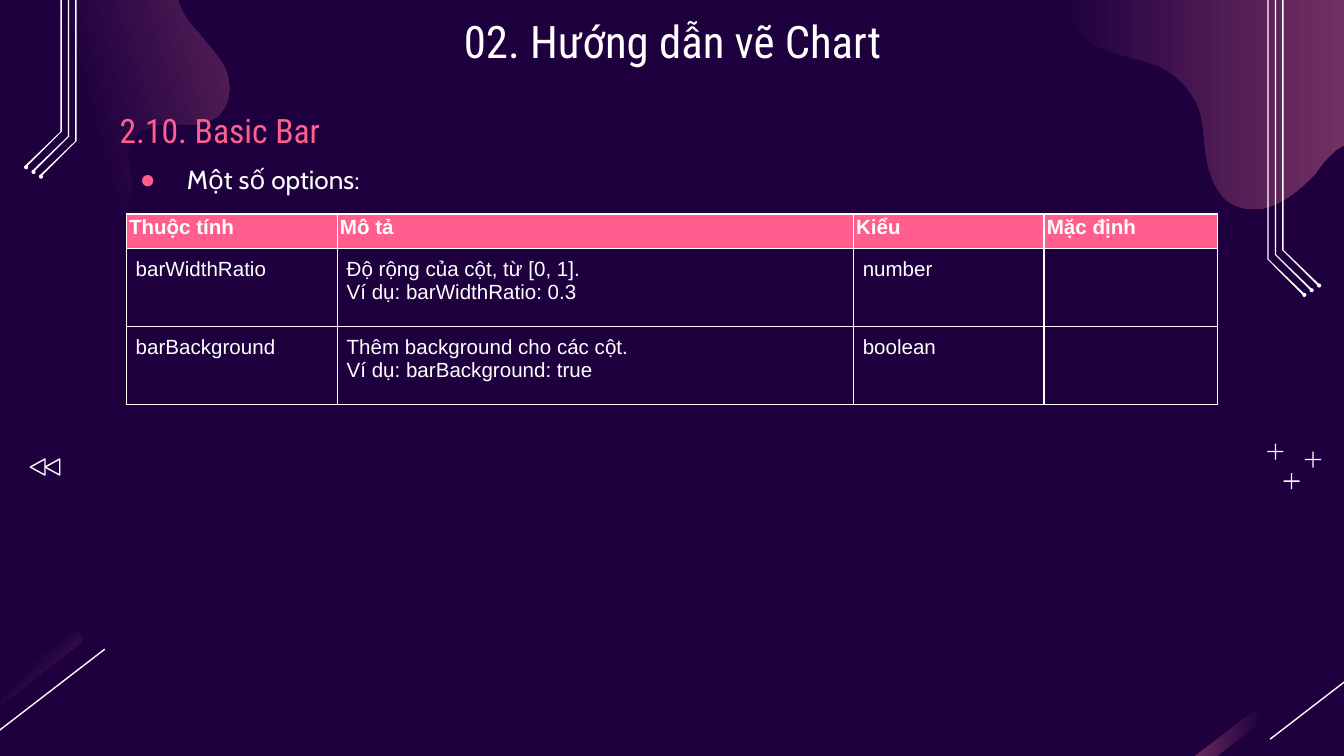
from math import cos, radians, sin

from lxml import etree
from pptx import Presentation
from pptx.dml.color import RGBColor
from pptx.enum.shapes import MSO_CONNECTOR, MSO_SHAPE
from pptx.enum.text import MSO_ANCHOR, MSO_AUTO_SIZE, PP_ALIGN
from pptx.oxml import parse_xml
from pptx.oxml.ns import nsdecls, qn
from pptx.util import Inches, Pt

OVAL, RECT, TRI = MSO_SHAPE.OVAL, MSO_SHAPE.RECTANGLE, MSO_SHAPE.ISOSCELES_TRIANGLE
STRAIGHT = MSO_CONNECTOR.STRAIGHT
TOP, BOTTOM = MSO_ANCHOR.TOP, MSO_ANCHOR.BOTTOM
LEFT, CENTER = PP_ALIGN.LEFT, PP_ALIGN.CENTER
FIXED = MSO_AUTO_SIZE.NONE

HEX = {"night": "1E003F", "plum": "A64D79", "pink": "FF5E8E", "white": "FFFFFF"}
HEAD, BODY, GRID = "Roboto Condensed", "Cabin", "Arial"

# Blob outlines: a start point, then three points for each curve
LEFT_BLOB = [
    (0.48, 1.9), (0.74, 1.83), (0.86, 1.69), (0.9, 1.65), (0.98, 1.56), (1.01, 1.43), (0.99, 1.31),
    (0.98, 1.24), (0.95, 1.17), (0.97, 1.11), (0.98, 1.02), (1.06, 0.97), (1.14, 0.95),
    (1.15, 0.94), (1.15, 0.94), (1.16, 0.94), (1.24, 0.92), (1.33, 0.93), (1.42, 0.93),
    (1.46, 0.93), (1.5, 0.92), (1.53, 0.91), (1.58, 0.9), (1.63, 0.88), (1.66, 0.84),
    (1.74, 0.75), (1.73, 0.61), (1.69, 0.51), (1.64, 0.41), (1.55, 0.32), (1.48, 0.23),
    (1.4, 0.15), (1.33, 0.04), (1.33, -0.07), (1.33, -0.16), (1.36, -0.25), (1.43, -0.31),
    (1.47, -0.35), (1.53, -0.38), (1.59, -0.39), (1.68, -0.42), (1.79, -0.42), (1.9, -0.41),
    (2.01, -0.41), (2.12, -0.4), (2.23, -0.42), (2.25, -0.43), (2.26, -0.43), (2.28, -0.43),
    (2.37, -0.46), (2.46, -0.51), (2.52, -0.58), (2.59, -0.66), (2.61, -0.78), (2.58, -0.87),
    (2.56, -1.05), (2.44, -1.25), (2.33, -1.34), (2.15, -1.5), (1.9, -1.55), (1.67, -1.51),
    (1.66, -1.5), (1.65, -1.5), (1.64, -1.5), (1.29, -1.4), (1.03, -1.1), (0.7, -0.95),
    (0.65, -0.93), (0.59, -0.91), (0.54, -0.9), (0.22, -0.81), (-0.13, -0.85), (-0.47, -0.82),
    (-0.62, -0.81), (-0.77, -0.78), (-0.91, -0.74), (-1.04, -0.71), (-1.16, -0.67), (-1.28, -0.61),
    (-1.45, -0.54), (-1.62, -0.44), (-1.74, -0.3), (-1.86, -0.17), (-1.95, 0.02), (-1.94, 0.22),
    (-1.93, 0.46), (-1.76, 0.68), (-1.56, 0.8), (-1.35, 0.93), (-1.12, 0.97), (-0.88, 0.99),
    (-0.74, 1.01), (-0.6, 1.01), (-0.46, 1.06), (-0.32, 1.1), (-0.19, 1.19), (-0.13, 1.33),
    (-0.08, 1.44), (-0.08, 1.55), (-0.03, 1.66), (0.06, 1.84), (0.29, 1.95), (0.47, 1.9)]
RIGHT_BLOB = [
    (11.25, 0.38), (11.25, 0.13), (11.18, -0.13), (11.05, -0.35),
    (10.94, -0.54), (10.78, -0.7), (10.58, -0.77), (10.36, -0.85), (10.12, -0.81), (9.89, -0.84),
    (9.67, -0.87), (9.45, -0.97), (9.29, -1.13), (9.18, -1.23), (9.09, -1.35), (8.97, -1.41),
    (8.83, -1.48), (8.67, -1.46), (8.52, -1.43), (8.4, -1.4), (8.28, -1.36), (8.19, -1.29),
    (8.03, -1.17), (7.96, -0.97), (7.93, -0.78), (7.9, -0.65), (7.89, -0.51), (7.89, -0.38),
    (7.89, -0.31), (7.89, -0.24), (7.9, -0.18), (7.91, 0), (7.96, 0.18), (8.09, 0.3),
    (8.25, 0.42), (8.47, 0.42), (8.64, 0.5), (8.78, 0.57), (8.88, 0.69), (8.93, 0.83),
    (8.96, 0.94), (8.96, 1.07), (8.98, 1.19), (9, 1.3), (9.05, 1.43), (9.14, 1.5),
    (9.24, 1.57), (9.38, 1.57), (9.49, 1.52), (9.6, 1.47), (9.69, 1.39), (9.78, 1.3),
    (9.83, 1.23), (9.88, 1.16), (9.95, 1.11), (10.02, 1.06), (10.1, 1.03), (10.18, 1.06),
    (10.33, 1.1), (10.38, 1.3), (10.52, 1.38), (10.85, 1.57), (11.08, 1.12), (11.17, 0.88),
    (11.22, 0.72), (11.25, 0.55), (11.25, 0.38)]
STREAK = [(0.56, 4.7), (0.6, 4.72), (0.61, 4.76), (0.59, 4.79), (-0.81, 5.88), (-0.85, 5.89),
          (-0.88, 5.87), (-0.89, 5.83), (-0.87, 5.8), (0.53, 4.72)]

ROWS = [
    ["Thuộc tính", "Mô tả", "Kiểu", "Mặc định"],
    ["barWidthRatio", "Độ rộng của cột, từ [0, 1].\nVí dụ: barWidthRatio: 0.3", "number", ""],
    ["barBackground", "Thêm background cho các cột.\nVí dụ: barBackground: true", "boolean", ""]]


def rgb(name):
    return RGBColor.from_string(HEX[name])


def curve(pts, steps=8):
    """Turn a chain of cubic curves into points."""
    out = [pts[0]]
    for i in range(0, len(pts) - 1, 3):
        quad = pts[i:i + 4]
        for n in range(1, steps + 1):
            t = n / steps
            u = 1 - t
            mix = (u ** 3, 3 * u * u * t, 3 * u * t * t, t ** 3)
            out.append(tuple(sum(m * p[k] for m, p in zip(mix, quad)) for k in (0, 1)))
    return out


def turn(pts, mid, deg):
    """Rotate points around a middle."""
    c, s = cos(radians(deg)), sin(radians(deg))
    return [(mid[0] + (x - mid[0]) * c - (y - mid[1]) * s,
             mid[1] + (x - mid[0]) * s + (y - mid[1]) * c) for x, y in pts]


class Deck:
    def __init__(self, wide, high):
        self.prs = Presentation()
        self.prs.slide_width, self.prs.slide_height = Inches(wide), Inches(high)
        self.slide = self.prs.slides.add_slide(self.prs.slide_layouts[3])
        self.shapes = self.slide.shapes
        fill = self.slide.background.fill
        fill.solid()
        fill.fore_color.rgb = rgb("night")

    def paint(self, shape, fill=None, line=None):
        shape.shadow.inherit = False
        if fill:
            shape.fill.solid()
            shape.fill.fore_color.rgb = rgb(fill)
        else:
            shape.fill.background()
        if line:
            shape.line.color.rgb = rgb(line)
            shape.line.width = Pt(0.75)
        else:
            shape.line.fill.background()
        return shape

    def box(self, kind, x, y, w, h, **look):
        return self.paint(self.shapes.add_shape(kind, *map(Inches, (x, y, w, h))), **look)

    def outline(self, pts, fill=None):
        pts = [(Inches(x), Inches(y)) for x, y in pts]
        form = self.shapes.build_freeform(*pts[0], scale=1.0)
        form.add_line_segments(pts[1:], close=True)
        return self.paint(form.convert_to_shape(), fill)

    def glow(self, pts, mid, deg, stops, way):
        """Rotated outline with a gradient that turns along."""
        shape = self.outline(turn(pts, mid, -deg))
        shape.rotation = deg
        marks = "".join(f'<a:gs pos="{pos * 1000}"><a:srgbClr val="{HEX[name]}"/></a:gs>'
                        for pos, name in stops)
        old = shape.element.spPr.find(qn("a:noFill"))
        old.getparent().replace(old, parse_xml(
            f'<a:gradFill {nsdecls("a")} rotWithShape="1"><a:gsLst>{marks}</a:gsLst>{way}</a:gradFill>'))

    def line(self, x1, y1, x2, y2):
        link = self.shapes.add_connector(STRAIGHT, *map(Inches, (x1, y1, x2, y2)))
        link.line.color.rgb = rgb("white")
        link.line.width = Pt(0.75)
        etree.SubElement(link.element.spPr, qn("a:effectLst"))

    def font(self, para, face, size, color, bold=False):
        for run in para.runs:
            run.font.name, run.font.size, run.font.bold = face, Pt(size), bold
            run.font.color.rgb = rgb(color)

    def holder(self, shape, text, at, face, size, color, align=LEFT, anchor=TOP,
               space=1.0, after=0, dot=None):
        shape.left, shape.top, shape.width, shape.height = map(Inches, at)
        frame = shape.text_frame
        frame.text, frame.word_wrap, frame.auto_size = text, True, FIXED
        frame.vertical_anchor = anchor
        frame.margin_left = frame.margin_right = frame.margin_top = frame.margin_bottom = Inches(0.1)
        para = frame.paragraphs[0]
        props = para._p.get_or_add_pPr()
        props.set("marL", str(Inches(0.5 if dot else 0)))
        props.set("indent", str(Inches(-0.35 if dot else 0)))
        if dot:
            tint = etree.SubElement(props, qn("a:buClr"))
            etree.SubElement(tint, qn("a:srgbClr"), val=HEX[dot])
            etree.SubElement(props, qn("a:buChar"), char="●")
        else:
            etree.SubElement(props, qn("a:buNone"))
        para.alignment, para.line_spacing = align, space
        para.space_before, para.space_after = Pt(0), Pt(after)
        self.font(para, face, size, color)
        shape.element.getparent().append(shape.element)  # bring to front

    def table(self, rows, x, y, widths, heights):
        size = map(Inches, (x, y, sum(widths), sum(heights)))
        grid = self.shapes.add_table(len(rows), len(widths), *size).table
        grid.horz_banding = grid.first_row = False
        for col, w in zip(grid.columns, widths):
            col.width = Inches(w)
        for r, (row, h) in enumerate(zip(rows, heights)):
            grid.rows[r].height = Inches(h)
            for c, text in enumerate(row):
                self.cell(grid.cell(r, c), text, r == 0)

    def cell(self, cell, text, head):
        props = cell._tc.get_or_add_tcPr()
        for side in ("lnL", "lnR", "lnT", "lnB"):
            props.append(parse_xml(
                f'<a:{side} {nsdecls("a")} w="{Pt(1)}"><a:solidFill>'
                f'<a:srgbClr val="{HEX["white"]}"/></a:solidFill></a:{side}>'))
        if head:
            cell.fill.solid()
            cell.fill.fore_color.rgb = rgb("pink")
        else:
            cell.fill.background()
        pad = Inches(0.02 if head else 0.07)
        cell.margin_left = cell.margin_right = cell.margin_top = cell.margin_bottom = pad
        cell.text_frame.text = text
        for para in cell.text_frame.paragraphs:
            self.font(para, GRID, 11, "white", head)


def main():
    deck = Deck(10, 10 * 9 / 16)
    title, body, head = deck.slide.placeholders

    # Blobs and corner streaks
    two = [(0, "night"), (100, "plum")]
    three = [(0, "night"), (50, "night"), (100, "plum")]
    flat = '<a:lin ang="10800000" scaled="0"/>'
    rise = '<a:lin ang="16200000" scaled="0"/>'
    ring = '<a:path path="circle"><a:fillToRect r="100000" b="100000"/></a:path>'
    deck.glow(curve(LEFT_BLOB), (0.49, 0.35), 165, three, flat)
    deck.glow(curve(RIGHT_BLOB), (9.57, 0.05), 90, two, rise)
    for dx, way in ((0, ring), (9.54, flat)):
        deck.glow([(x + dx, y) for x, y in STREAK], (dx - 0.14, 5.3), 7.3, three, way)
        deck.line(0.78 + dx, 4.83, dx - 0.09, 5.5)

    # Circuit lines: the left set mirrors the right one, higher up
    for flip, dy in ((False, 0), (True, -0.88)):
        for i in range(3):
            x, knee = 9.54 - 0.055 * i, 1.86 + 0.035 * i
            pts = [(x + 0.01, -1.19), (x, -1.19), (x, knee), (x + 0.27, knee + 0.27),
                   (x + 0.28, knee + 0.26), (x + 0.01, knee)]
            deck.outline([(10 - a if flip else a, b + dy) for a, b in pts], "white")
            dot = 9.72 - x if flip else x + 0.26
            deck.box(OVAL, dot, knee + dy + 0.25, 0.03, 0.03, fill="white")

    # Plus signs
    for x, y in ((9.61, 3.58), (9.77, 3.42), (9.49, 3.36)):
        for w, h in ((0.12, 0.01), (0.01, 0.12)):
            deck.box(RECT, x - w / 2, y - h / 2, w, h, fill="white")

    # Rewind sign
    for x in (0.22, 0.33):
        deck.box(TRI, x, 3.42, 0.12, 0.11, line="white").rotation = 270

    # Texts
    deck.holder(body, "Một số options:", (0.79, 1, 8.12, 0.5), BODY, 14, "white",
                space=1.5, dot="pink")
    deck.holder(title, "02. Hướng dẫn vẽ Chart", (0.79, 0, 8.43, 0.63), HEAD, 24, "white",
                align=CENTER)
    deck.holder(head, "2.10. Basic Bar", (0.79, 0.77, 7.02, 0.45), HEAD, 18, "pink",
                anchor=BOTTOM, space=1.15, after=12)

    # Options table
    deck.table(ROWS, 0.94, 1.59, (1.57, 3.84, 1.42, 1.29), (0.26, 0.58, 0.58))
    deck.prs.save("out.pptx")


if __name__ == "__main__":
    main()
